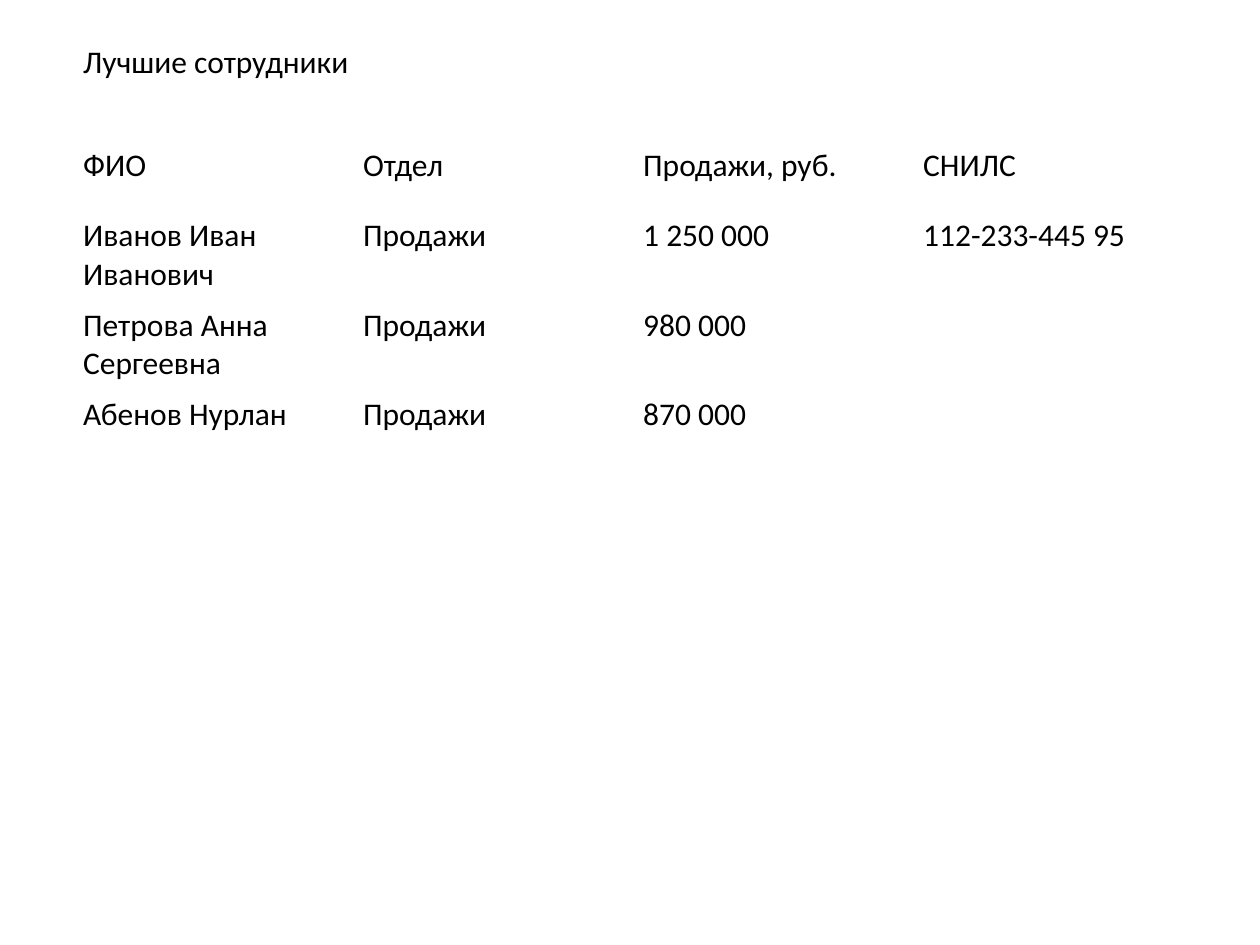
from pptx import Presentation
from pptx.dml.color import RGBColor
from pptx.enum import text
from pptx.util import Inches, Pt

BLACK = RGBColor(0x00, 0x00, 0x00)
FONT_NAME = "Calibri"
FONT_SIZE = Pt(18)

EMPLOYEES = [
    ("ФИО", "Отдел", "Продажи, руб.", "СНИЛС"),
    ("Иванов Иван Иванович", "Продажи", "1 250 000", "112-233-445 95"),
    ("Петрова Анна Сергеевна", "Продажи", "980 000", ""),
    ("Абенов Нурлан", "Продажи", "870 000", ""),
]


def write(paragraph, wording):
    """Add one run in the common text style."""
    paragraph.alignment = text.PP_ALIGN.LEFT
    run = paragraph.add_run()
    run.text = wording
    run.font.name = FONT_NAME
    run.font.size = FONT_SIZE
    run.font.color.rgb = BLACK


def place_title(slide, left, top, width, height):
    title = slide.shapes.title
    title.left, title.top, title.width, title.height = left, top, width, height
    frame = title.text_frame
    frame.word_wrap = True
    frame.auto_size = text.MSO_AUTO_SIZE.NONE
    frame.vertical_anchor = text.MSO_ANCHOR.TOP
    write(frame.paragraphs[0], "Лучшие сотрудники")


def place_employee_table(slide, left, top, width, row_height):
    row_count, column_count = len(EMPLOYEES), len(EMPLOYEES[0])
    table = slide.shapes.add_table(
        row_count, column_count, left, top, width, row_height * row_count
    ).table
    # Plain look: no header emphasis, banding or fills
    table.first_row = False
    table.horz_banding = False
    for row, values in zip(table.rows, EMPLOYEES):
        for cell, value in zip(row.cells, values):
            cell.fill.background()
            if value:
                write(cell.text_frame.paragraphs[0], value)


def main():
    presentation = Presentation()
    presentation.slide_width = Inches(10)
    presentation.slide_height = Inches(7.5)
    slide = presentation.slides.add_slide(presentation.slide_layouts[5])

    # Title and table share the same left edge and width
    left, width, row_height = Inches(0.56), Inches(8.89), Inches(0.56)
    place_title(slide, left, Inches(0.28), width, row_height)
    place_employee_table(slide, left, Inches(1.11), width, row_height)

    presentation.save("out.pptx")


if __name__ == "__main__":
    main()
